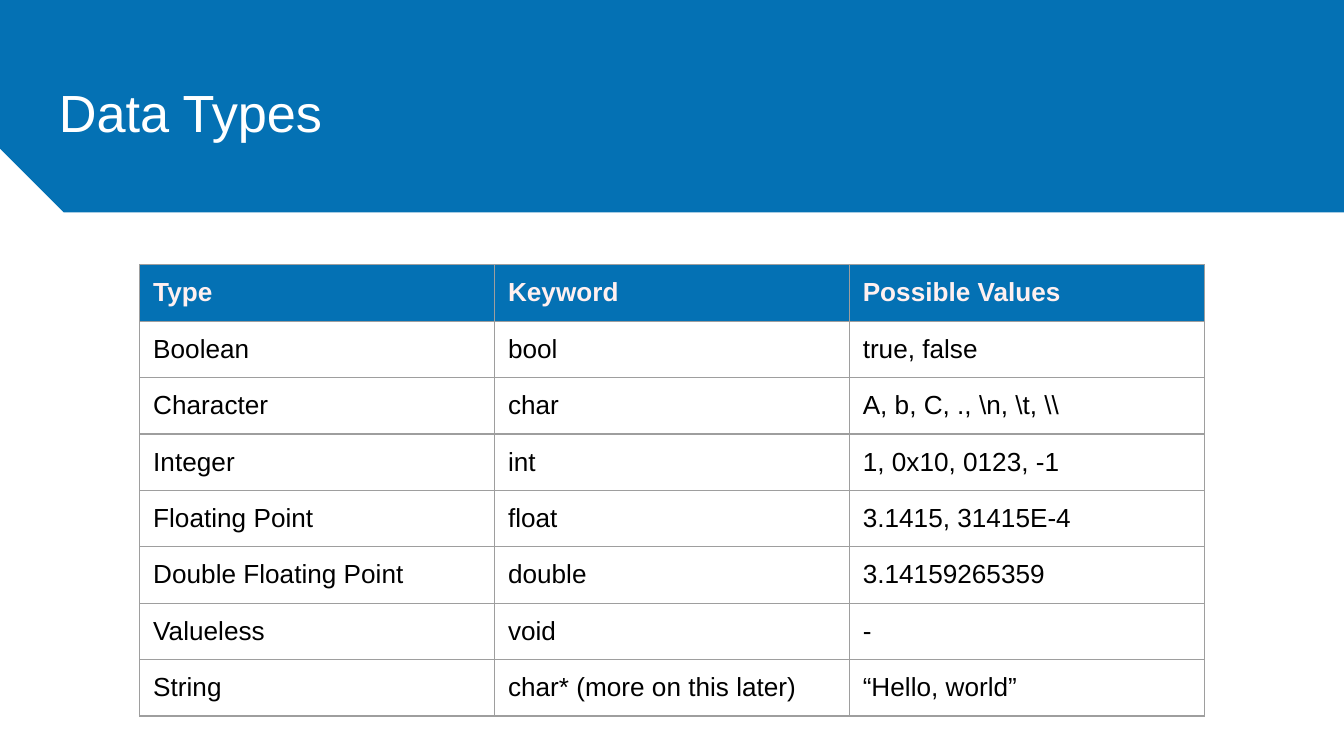
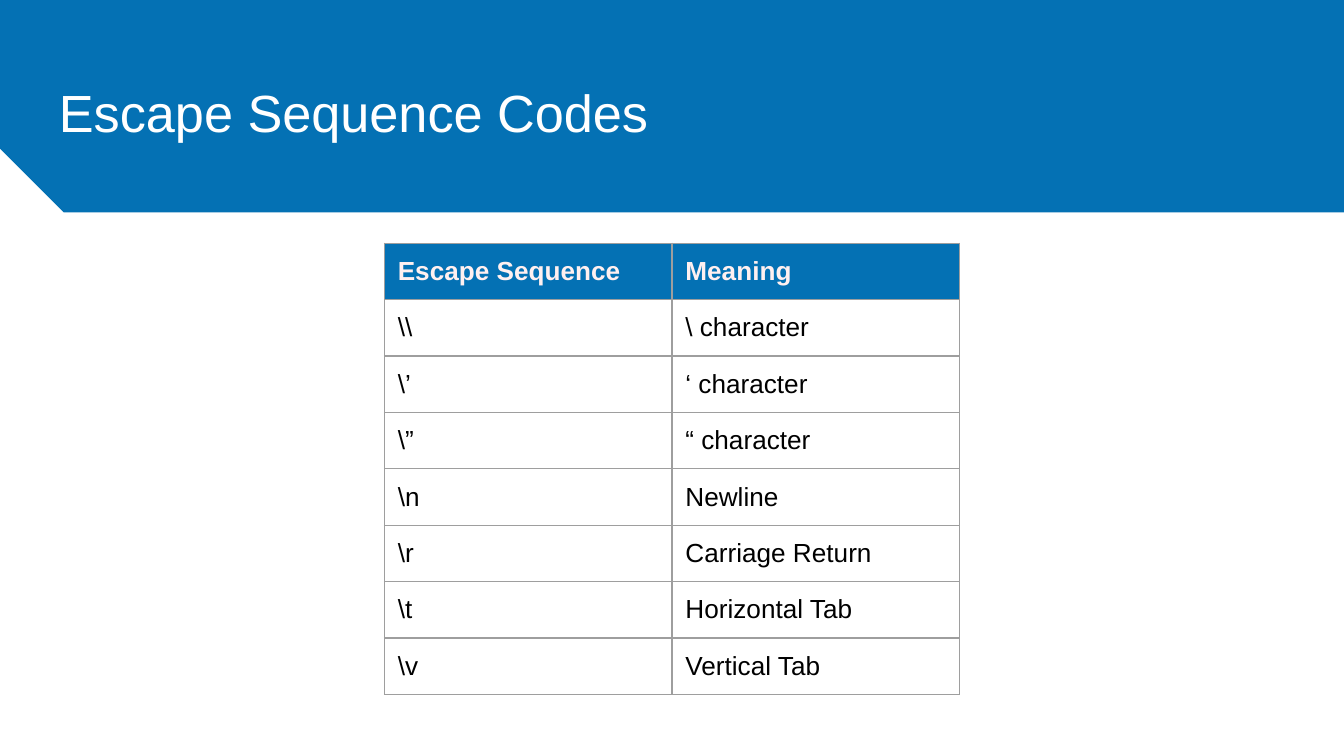
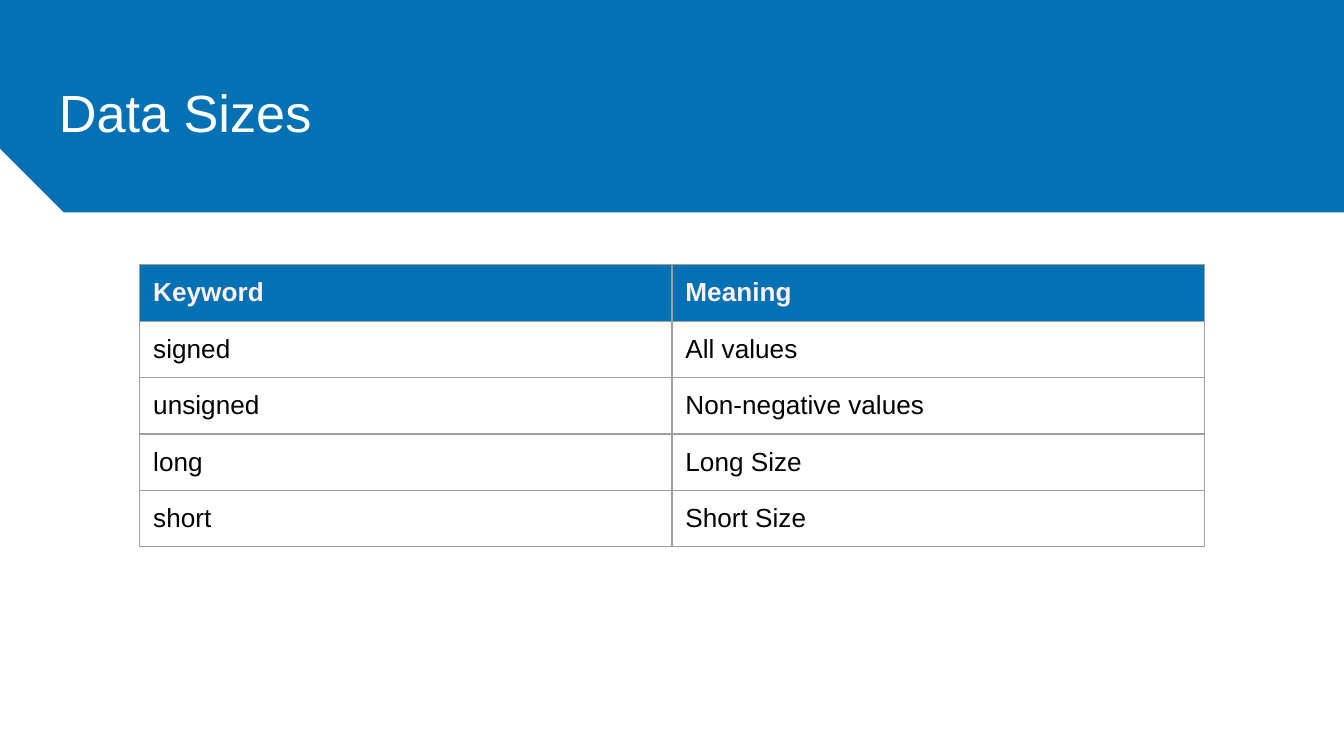
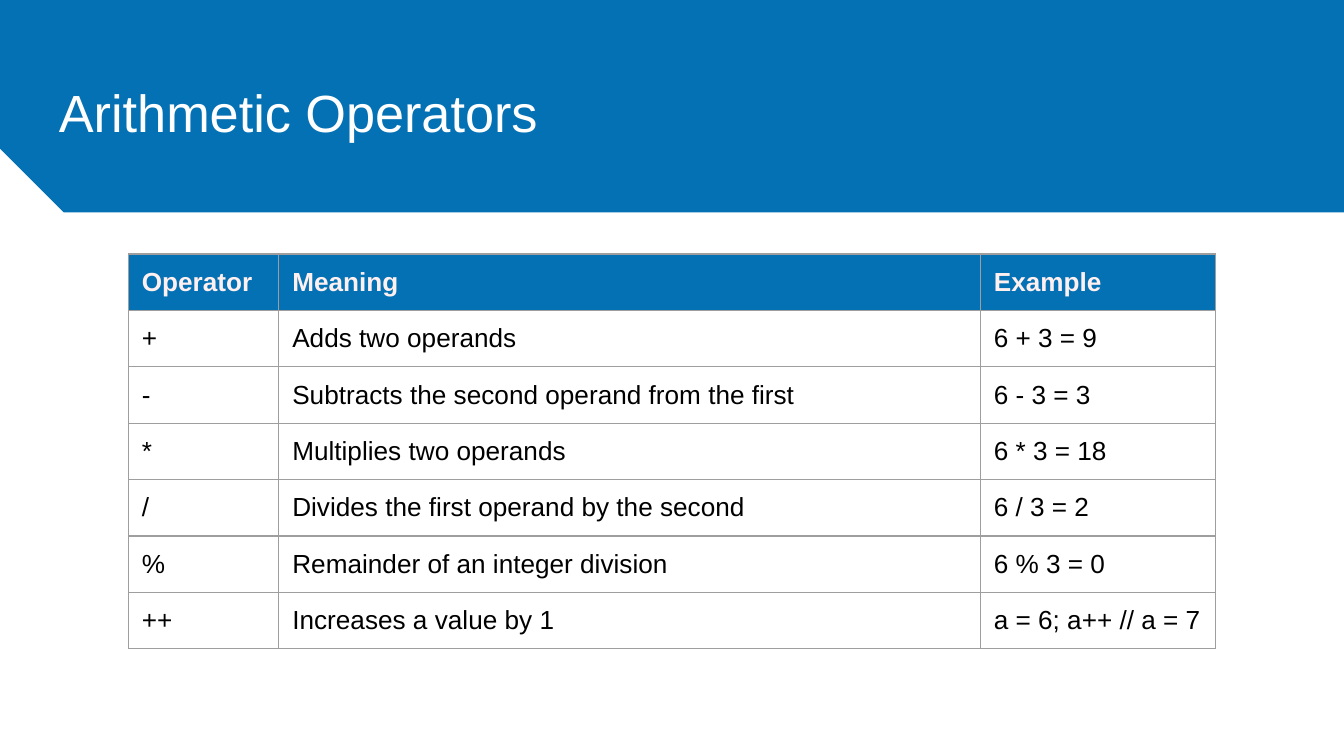
from lxml.etree import SubElement
from pptx import Presentation
from pptx.dml.color import RGBColor
from pptx.enum.shapes import MSO_SHAPE as SHAPE
from pptx.enum.text import MSO_ANCHOR as ANCHOR
from pptx.oxml.ns import qn
from pptx.util import Inches, Pt

SLIDE_W = 10
SLIDE_H = SLIDE_W * 9 / 16
BLUE, WHITE, BLACK = "0471B4", "FFFFFF", "000000"
HEADER_TEXT, GRID = "FFF0F0", "9E9E9E"
ROW_H = 0.42
BAND_BOX = (0, 0, SLIDE_W, 1.58)
MARGINS = {f"margin_{side}": Inches(0.1) for side in ("left", "top", "right", "bottom")}
CELL_MARGINS = {**MARGINS, "margin_bottom": Inches(0.08)}
SINGLE_SPACING = {"line_spacing": 1.0, "space_before": Pt(0), "space_after": Pt(0)}
TITLE_FONT = {"name": "Arial", "size": Pt(28), "bold": False}
HEADER_FONT = {"name": "Arial", "size": Pt(14), "bold": True}
BODY_FONT = {**HEADER_FONT, "bold": False}

TABLES = [
    ("Data Types", 1.97, (2.64, 2.64, 2.64), [
        ("Type", "Keyword", "Possible Values"),
        ("Boolean", "bool", "true, false"),
        ("Character", "char", r"A, b, C, ., \n, \t, \\"),
        ("Integer", "int", "1, 0x10, 0123, -1"),
        ("Floating Point", "float", "3.1415, 31415E-4"),
        ("Double Floating Point", "double", "3.14159265359"),
        ("Valueless", "void", "-"),
        ("String", "char* (more on this later)", "“Hello, world”"),
    ]),
    ("Escape Sequence Codes", 1.81, (2.14, 2.14), [
        ("Escape Sequence", "Meaning"),
        (r"\\", r"\ character"),
        (r"\’", "‘ character"),
        (r"\”", "“ character"),
        (r"\n", "Newline"),
        (r"\r", "Carriage Return"),
        (r"\t", "Horizontal Tab"),
        (r"\v", "Vertical Tab"),
    ]),
    ("Data Sizes", 1.97, (3.96, 3.96), [
        ("Keyword", "Meaning"),
        ("signed", "All values"),
        ("unsigned", "Non-negative values"),
        ("long", "Long Size"),
        ("short", "Short Size"),
    ]),
    ("Arithmetic Operators", 1.89, (1.12, 5.22, 1.75), [
        ("Operator", "Meaning", "Example"),
        ("+", "Adds two operands", "6 + 3 = 9"),
        ("-", "Subtracts the second operand from the first", "6 - 3 = 3"),
        ("*", "Multiplies two operands", "6 * 3 = 18"),
        ("/", "Divides the first operand by the second", "6 / 3 = 2"),
        ("%", "Remainder of an integer division", "6 % 3 = 0"),
        ("++", "Increases a value by 1", "a = 6; a++ // a = 7"),
    ]),
]


def color(value):
    return RGBColor.from_string(value)


def set_attrs(obj, values):
    for name, value in values.items():
        setattr(obj, name, value)


def write(tf, text, font, text_color):
    p = tf.paragraphs[0]
    set_attrs(p, SINGLE_SPACING)
    r = p.add_run()
    r.text = text
    set_attrs(r.font, font)
    r.font.color.rgb = color(text_color)
    return p


def add_title_band(s, box, title):
    x, y, w, h = box
    band = s.shapes.add_shape(SHAPE.SNIP_1_RECTANGLE, *map(Inches, box))
    band.adjustments[0] = 0.3
    band.rotation = 180
    band.shadow.inherit = False
    band.fill.solid()
    band.fill.fore_color.rgb = color(BLUE)
    band.line.fill.background()

    title_box = (x + 0.34, y + 0.48, w - 0.68, 0.63)
    tf = s.shapes.add_textbox(*map(Inches, title_box)).text_frame
    set_attrs(tf, {**MARGINS, "word_wrap": True, "vertical_anchor": ANCHOR.MIDDLE})
    write(tf, title, TITLE_FONT, WHITE).line_spacing = 1.15


def add_borders(cell):
    tc_pr = cell._tc.get_or_add_tcPr()
    for edge in ("lnL", "lnR", "lnT", "lnB"):
        ln = SubElement(tc_pr, qn(f"a:{edge}"), w=str(Pt(0.75)))
        fill = SubElement(ln, qn("a:solidFill"))
        SubElement(fill, qn("a:srgbClr"), val=GRID)


def format_cell(cell, text, is_header):
    set_attrs(cell, CELL_MARGINS)
    add_borders(cell)
    if is_header:
        cell.fill.solid()
        cell.fill.fore_color.rgb = color(BLUE)
        write(cell.text_frame, text, HEADER_FONT, HEADER_TEXT)
    else:
        cell.fill.background()
        write(cell.text_frame, text, BODY_FONT, BLACK)


def add_grid(s, box, widths, rows):
    frame = s.shapes.add_table(len(rows), len(widths), *map(Inches, box))
    table = frame.table
    set_attrs(table, {"first_row": False, "horz_banding": False})
    for column, width in zip(table.columns, widths):
        column.width = Inches(width)
    for i, texts in enumerate(rows):
        table.rows[i].height = Inches(ROW_H)
        for j, text in enumerate(texts):
            format_cell(table.cell(i, j), text, i == 0)


def add_table_slide(prs, title, top, widths, rows):
    s = prs.slides.add_slide(prs.slide_layouts[6])
    add_title_band(s, BAND_BOX, title)
    width = sum(widths)
    box = ((SLIDE_W - width) / 2, top, width, ROW_H * len(rows))
    add_grid(s, box, widths, rows)


def main():
    prs = Presentation()
    prs.slide_width, prs.slide_height = Inches(SLIDE_W), Inches(SLIDE_H)
    for table in TABLES:
        add_table_slide(prs, *table)
    prs.save("out.pptx")


if __name__ == "__main__":
    main()
